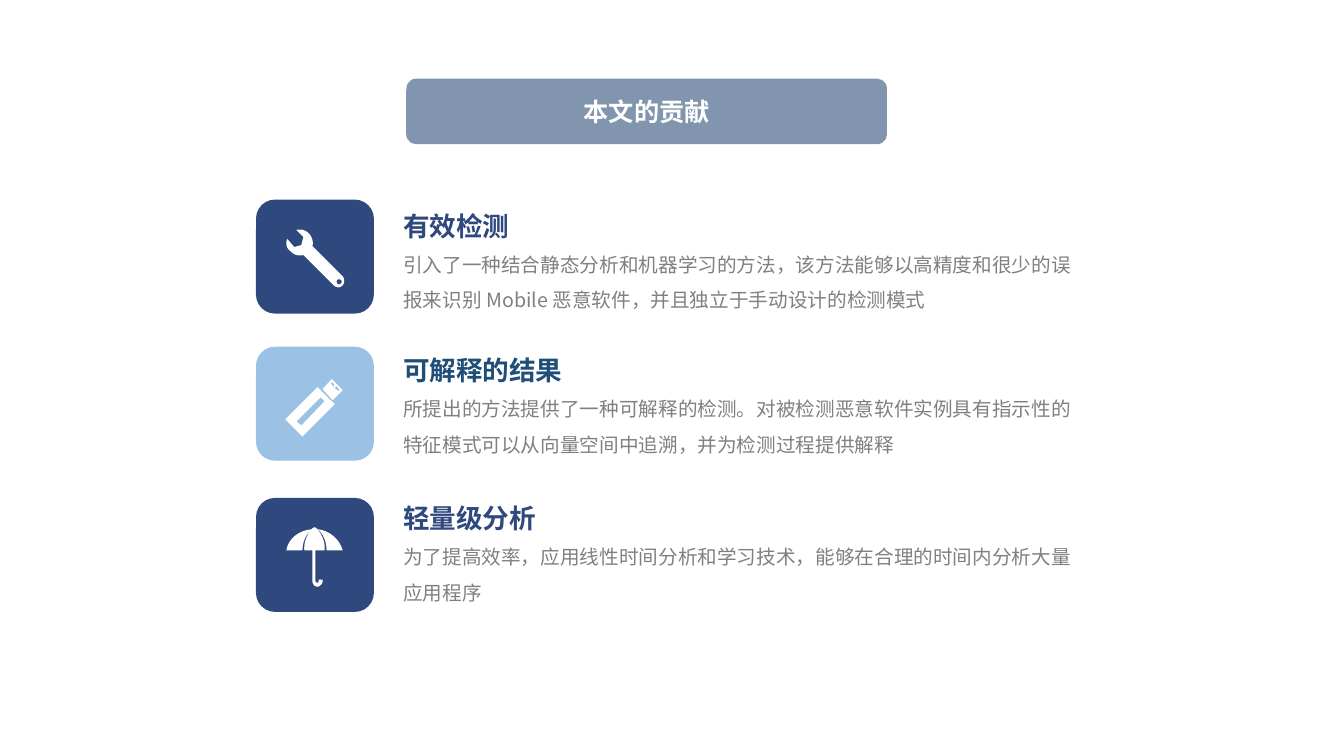
"""Build a slide that lists three contributions, each beside an icon tile."""
from lxml import etree
from pptx import Presentation
from pptx.dml.color import RGBColor
from pptx.enum.shapes import MSO_SHAPE as SHAPE
from pptx.enum.text import MSO_ANCHOR as ANCHOR, MSO_AUTO_SIZE as AUTO, PP_ALIGN as ALIGN
from pptx.oxml.ns import qn
from pptx.util import Pt

FONT = "Noto Sans CJK SC"
NAVY, SKY, TEAL, SLATE, GREY, WHITE = "2F497E", "9BC1E4", "1F4E78", "8295AF", "808080", "FFFFFF"
TITLE = "本文的贡献"

# Outlines: a pair is a corner, six numbers are a cubic curve.
WRENCH = [[
    [(27, 17), (28, 13, 27, 8, 23, 4), (20, 1, 15, 0, 11, 1), (18, 8), (16, 16), (9, 18),
     (2, 10), (0, 14, 1, 19, 5, 22), (9, 26, 13, 27, 18, 26), (48, 56),
     (49, 57, 51, 58, 53, 58), (54, 58, 56, 57, 57, 56), (59, 53, 59, 50, 57, 47)],
    [(53, 55), (52, 55, 51, 54, 51, 52), (51, 51, 52, 50, 53, 50),
     (55, 50, 56, 51, 56, 52), (56, 54, 55, 55, 53, 55)],
]]
USB_STICK = [
    [[(57, 14), (46, 3), (37, 13), (47, 24)],
     [(48, 11), (45, 7), (47, 6), (49, 9)],
     [(53, 15), (49, 12), (51, 10), (54, 14)]],
    [[(32, 11), (0, 43), (17, 60), (49, 28)],
     [(16, 49), (11, 45), (35, 21), (39, 25)]],
]
UMBRELLA = [[
    [(41, 23), (57, 23), (54, 12, 44, 3, 32, 2), (31, 1, 30, 0, 29, 0), (28, 0, 27, 1, 26, 2),
     (14, 3, 3, 11, 1, 23), (17, 23), (17, 10, 25, 3, 26, 2), (17, 13, 19, 23, 19, 23),
     (27, 23), (27, 54), (27, 56, 29, 59, 32, 59), (34, 59, 37, 56, 37, 54), (37, 52),
     (33, 52), (33, 54), (33, 54, 33, 55, 32, 55), (31, 55, 30, 54, 30, 54), (30, 23),
     (39, 23), (39, 23, 41, 13, 32, 2), (34, 3, 41, 10, 41, 23)],
]]

ITEMS = [
    dict(tile_top=142.6, text_top=133.2, tile=NAVY, color=NAVY, icon=WRENCH, head="有效检测",
         body="引入了一种结合静态分析和机器学习的方法，该方法能够以高精度和很少的误报来识别 Mobile 恶意软件，并且独立于手动设计的检测模式"),
    dict(tile_top=247.7, text_top=236.2, tile=SKY, color=TEAL, icon=USB_STICK, head="可解释的结果",
         body="所提出的方法提供了一种可解释的检测。对被检测恶意软件实例具有指示性的特征模式可以从向量空间中追溯，并为检测过程提供解释"),
    dict(tile_top=355.7, text_top=342, tile=NAVY, color=NAVY, icon=UMBRELLA, head="轻量级分析",
         body="为了提高效率，应用线性时间分析和学习技术，能够在合理的时间内分析大量应用程序"),
]
TILE_LEFT, TILE_W, TILE_H = 182.9, 84.2, 81.4
TEXT_LEFT, TEXT_W, TEXT_H = 278.6, 498.2, 92.2
ICON_INSET, ICON_UNIT, CURVE_STEPS = 20.9, 0.72, 8


def rgb(color):
    return RGBColor.from_string(color)


def paint(s, color):
    s.shadow.inherit = False
    s.fill.solid()
    s.fill.fore_color.rgb = rgb(color)
    s.line.fill.background()


def rounded(sp, left, top, width, height, color):
    s = sp.add_shape(SHAPE.ROUNDED_RECTANGLE, Pt(left), Pt(top), Pt(width), Pt(height))
    paint(s, color)
    return s


def write(p, text, size, color, bold):
    r = p.add_run()
    r.text = text
    r.font.color.rgb = rgb(color)
    for name, value in dict(name=FONT, size=Pt(size), bold=bold).items():
        setattr(r.font, name, value)
    etree.SubElement(r.font._element, qn("a:ea")).set("typeface", FONT)


def flatten(contour):
    points = [contour[0]]
    for step in contour[1:]:
        if len(step) == 2:
            points.append(step)
            continue
        knots = [points[-1], step[:2], step[2:4], step[4:]]
        for i in range(1, CURVE_STEPS + 1):
            t = i / CURVE_STEPS
            weights = ((1 - t) ** 3, 3 * t * (1 - t) ** 2, 3 * t * t * (1 - t), t ** 3)
            points.append(tuple(sum(w * k[axis] for w, k in zip(weights, knots)) for axis in (0, 1)))
    return points


def draw_icon(sp, icon, left, top):
    for part in icon:
        outlines = [[(Pt(left + x * ICON_UNIT), Pt(top + y * ICON_UNIT)) for x, y in flatten(c)]
                    for c in part]
        builder = sp.build_freeform(*outlines[0][0])
        for i, points in enumerate(outlines):
            if i:
                builder.move_to(*points[0])
            builder.add_line_segments(points[1:], close=True)
        paint(builder.convert_to_shape(), WHITE)


def add_item(sp, item):
    box = sp.add_textbox(Pt(TEXT_LEFT), Pt(item["text_top"]), Pt(TEXT_W), Pt(TEXT_H))
    tf = box.text_frame
    layout = dict(word_wrap=True, auto_size=AUTO.SHAPE_TO_FIT_TEXT, margin_left=Pt(9.4),
                  margin_right=Pt(9.4), margin_top=Pt(5), margin_bottom=Pt(5))
    for name, value in layout.items():
        setattr(tf, name, value)
    lines = [(item["head"], 19, item["color"], True), (item["body"], 14, GREY, False)]
    for p, line in zip((tf.paragraphs[0], tf.add_paragraph()), lines):
        p.line_spacing = 1.5
        write(p, *line)
    rounded(sp, TILE_LEFT, item["tile_top"], TILE_W, TILE_H, item["tile"])
    draw_icon(sp, item["icon"], TILE_LEFT + ICON_INSET, item["tile_top"] + ICON_INSET)


def main():
    prs = Presentation()
    prs.slide_width, prs.slide_height = Pt(960), Pt(540)
    sp = prs.slides.add_slide(prs.slide_layouts[6]).shapes
    for item in ITEMS:
        add_item(sp, item)
    banner = rounded(sp, 290.2, 56.2, 343.4, 46.8, SLATE)
    banner.adjustments[0] = 0.15
    banner.text_frame.vertical_anchor = ANCHOR.MIDDLE
    p = banner.text_frame.paragraphs[0]
    p.alignment = ALIGN.CENTER
    write(p, TITLE, 18, WHITE, True)
    prs.save("out.pptx")


if __name__ == "__main__":
    main()
